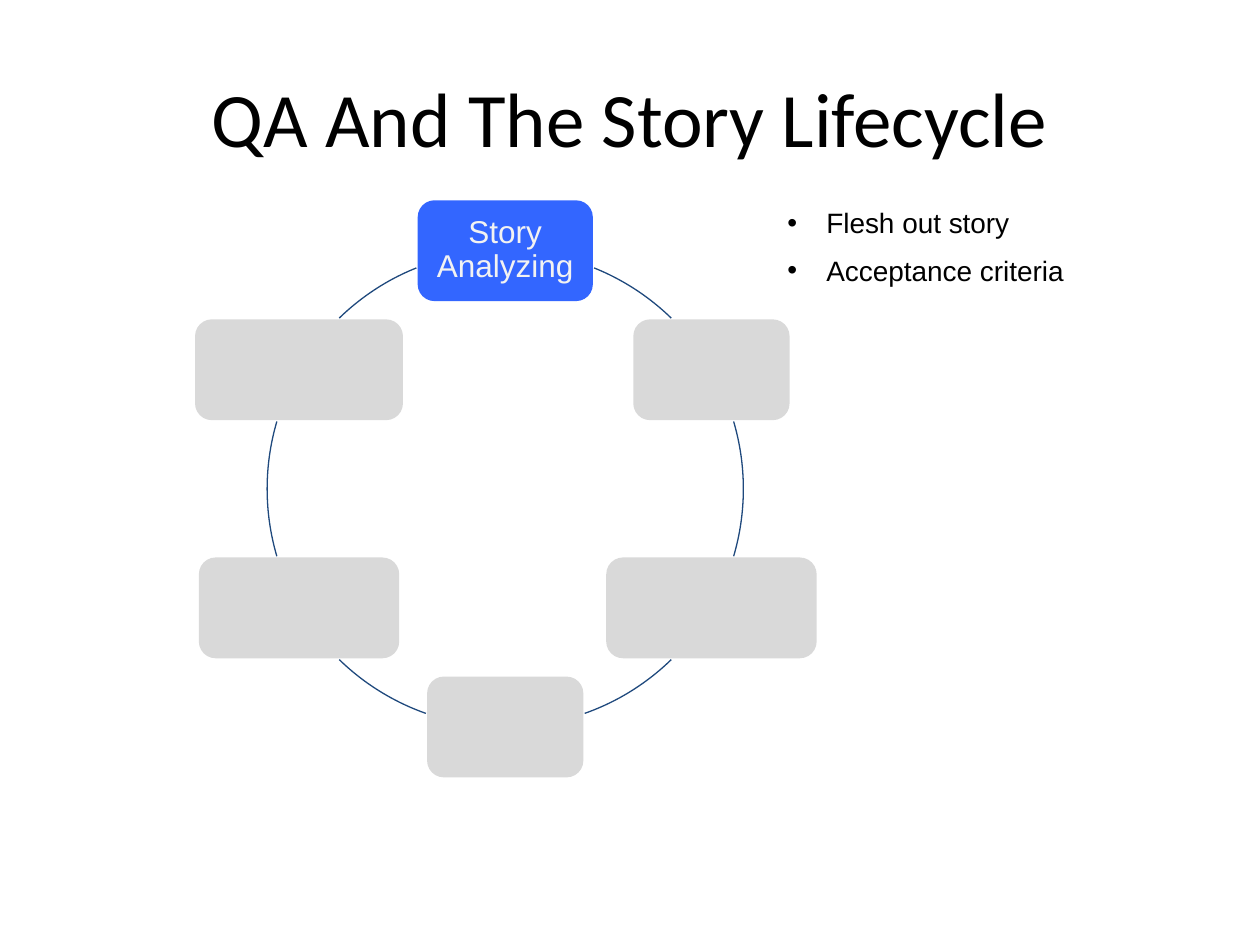
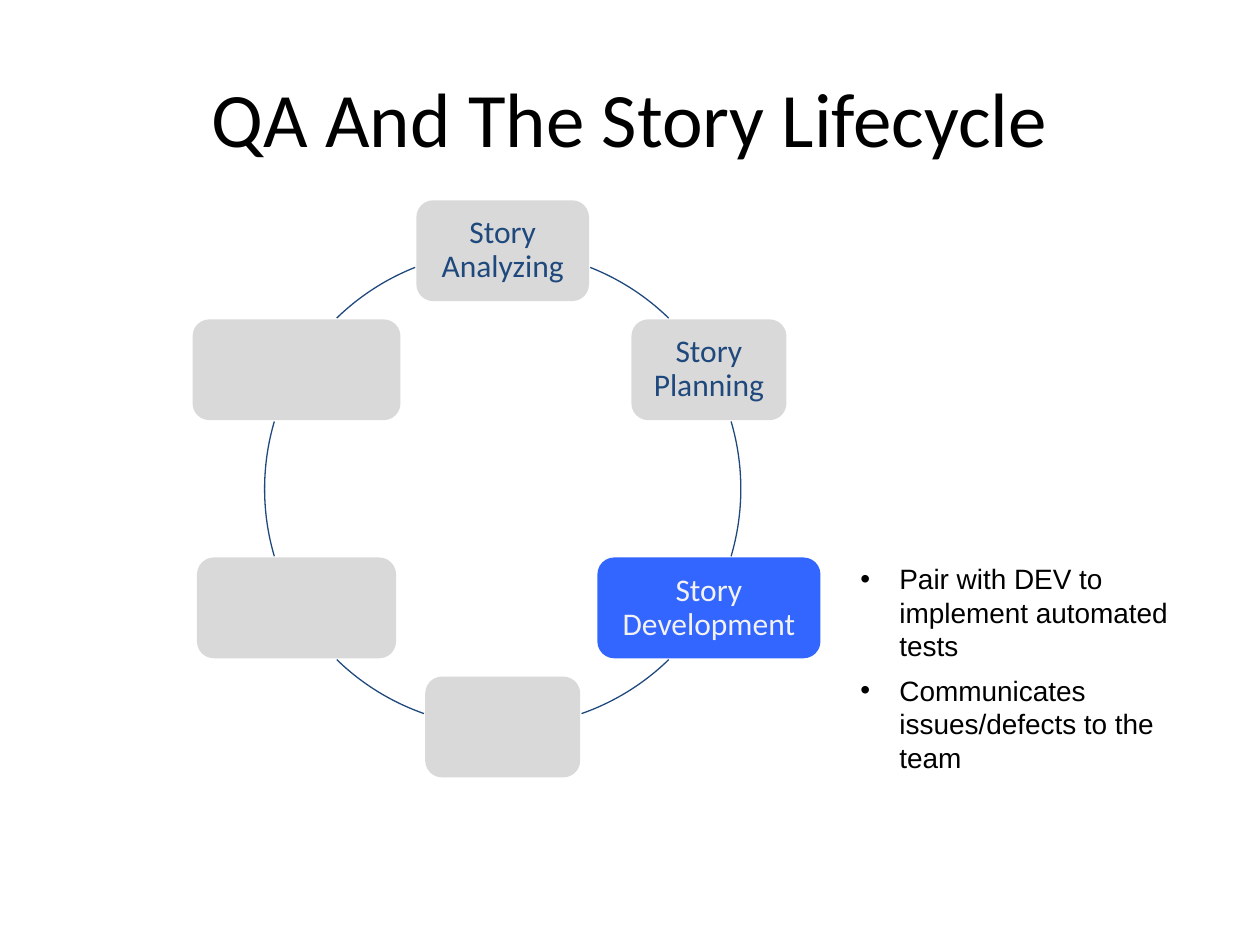
import math

from lxml import etree
from pptx import Presentation, util as u
from pptx.dml.color import RGBColor
from pptx.enum import shapes, text
from pptx.oxml.ns import qn

COLORS = {
    "text": "000000",
    "active": "3366FF",
    "active_text": "F2F2F2",
    "idle": "D9D9D9",
    "navy": "1F497D",
}
TITLE = "QA And The Story Lifecycle"
RADIUS = 1.89
CENTER_Y = 3.88
STAGE_HEIGHT = 0.8
GAP = 0.01

LIFECYCLES = [
    {
        "center_x": 4.01,
        "widths": [1.39, 1.24, 1.67, 1.24, 1.59, 1.65],
        "labels": ["Story Analyzing"],
        "active": 0,
        "font": "Arial",
        "notes_box": (6.15, 1.56, 3.6, 0.77),
        "line_spacing": 1.1,
        "notes": ["Flesh out story", "Acceptance criteria"],
    },
    {
        "center_x": 3.99,
        "widths": [1.37, 1.23, 1.77, 1.23, 1.58, 1.65],
        "labels": ["Story Analyzing", "Story Planning", "Story Development"],
        "active": 2,
        "font": "Calibri",
        "notes_box": (6.73, 4.41, 2.88, 1.88),
        "line_spacing": 1.0,
        "notes": [
            "Pair with DEV to implement automated tests",
            "Communicates issues/defects to the team",
        ],
    },
]


def color(name):
    return RGBColor.from_string(COLORS[name])


def apply(target, values):
    for name, value in values.items():
        setattr(target, name, value)


class Deck:
    def __init__(self):
        self.presentation = Presentation()
        self.presentation.slide_width = u.Inches(10)
        self.presentation.slide_height = u.Inches(7.5)
        self.slide = None

    def new_slide(self):
        layout = self.presentation.slide_layouts[6]
        self.slide = self.presentation.slides.add_slide(layout)

    def style_text(self, paragraph, words, font, size, ink, **paragraph_format):
        paragraph.text = words
        apply(paragraph, paragraph_format)
        apply(paragraph.font, {"name": font, "size": u.Pt(size)})
        paragraph.font.color.rgb = color(ink)

    def text_box(self, box, **frame_format):
        frame = self.slide.shapes.add_textbox(*map(u.Inches, box)).text_frame
        apply(frame, {"word_wrap": True, **frame_format})
        return frame

    def title(self, words):
        frame = self.text_box((0.5, 0.3, 9, 1.25),
                              vertical_anchor=text.MSO_ANCHOR.MIDDLE)
        self.style_text(frame.paragraphs[0], words, "Calibri", 44, "text",
                        alignment=text.PP_ALIGN.CENTER)

    def bullets(self, box, items, line_spacing):
        frame = self.text_box(box, auto_size=text.MSO_AUTO_SIZE.SHAPE_TO_FIT_TEXT)
        for index, item in enumerate(items):
            paragraph = frame.add_paragraph() if index else frame.paragraphs[0]
            properties = paragraph._p.get_or_add_pPr()
            properties.set("marL", str(u.Inches(0.31)))
            properties.set("indent", str(u.Inches(-0.31)))
            etree.SubElement(properties, qn("a:buFont"), typeface="Arial")
            etree.SubElement(properties, qn("a:buChar"), char="•")
            self.style_text(paragraph, item, "Arial", 16, "text",
                            line_spacing=line_spacing, space_after=u.Pt(6))

    def preset(self, kind, box):
        shape = self.slide.shapes.add_shape(kind, *map(u.Inches, box))
        shape.shadow.inherit = False
        return shape

    def stage(self, center, width, label, active, font):
        x, y = center
        shape = self.preset(
            shapes.MSO_SHAPE.ROUNDED_RECTANGLE,
            (x - width / 2, y - STAGE_HEIGHT / 2, width, STAGE_HEIGHT))
        shape.fill.solid()
        shape.fill.fore_color.rgb = color("active" if active else "idle")
        shape.line.fill.background()
        if not label:
            return
        frame = shape.text_frame
        margins = ("margin_left", "margin_top", "margin_right", "margin_bottom")
        apply(frame, dict.fromkeys(margins, u.Inches(0.07)))
        apply(frame, {"word_wrap": True,
                      "vertical_anchor": text.MSO_ANCHOR.MIDDLE})
        self.style_text(frame.paragraphs[0], label, font, 18,
                        "active_text" if active else "navy",
                        alignment=text.PP_ALIGN.CENTER, line_spacing=0.9)

    def arc(self, center_x, start, end):
        """Draw part of the ring, clockwise, in degrees from the right."""
        shape = self.preset(
            shapes.MSO_SHAPE.ARC,
            (center_x - RADIUS, CENTER_Y - RADIUS, 2 * RADIUS, 2 * RADIUS))
        for index, angle in enumerate((start, end)):
            # Angles are stored in 60000ths of a degree, adjustments in 100000ths
            shape.adjustments[index] = angle % 360 * 0.6
        shape.fill.background()
        shape.line.color.rgb = color("navy")
        shape.line.width = u.Pt(0.75)

    def ring(self, center_x, widths):
        """Draw the arcs that show between neighbouring stages."""
        def beside(width):
            return math.degrees(math.acos((width / 2 + GAP) / RADIUS))

        def level(height):
            return math.degrees(math.asin(height / RADIUS))

        half = STAGE_HEIGHT / 2 + GAP
        outer, inner = level(RADIUS / 2 + half), level(RADIUS / 2 - half)
        right_arcs = [(-beside(widths[0]), -outer), (-inner, inner),
                      (outer, beside(widths[3]))]
        for start, end in right_arcs:
            self.arc(center_x, start, end)
            self.arc(center_x, 180 - end, 180 - start)

    def lifecycle(self, center_x, widths, labels, active, font):
        self.ring(center_x, widths)
        for index, width in enumerate(widths):
            angle = math.radians(60 * index - 90)
            center = (center_x + RADIUS * math.cos(angle),
                      CENTER_Y + RADIUS * math.sin(angle))
            label = labels[index] if index < len(labels) else ""
            self.stage(center, width, label, index == active, font)


def main():
    deck = Deck()
    for cycle in LIFECYCLES:
        deck.new_slide()
        deck.title(TITLE)
        deck.lifecycle(cycle["center_x"], cycle["widths"], cycle["labels"],
                       cycle["active"], cycle["font"])
        deck.bullets(cycle["notes_box"], cycle["notes"], cycle["line_spacing"])
    deck.presentation.save("out.pptx")


if __name__ == "__main__":
    main()
